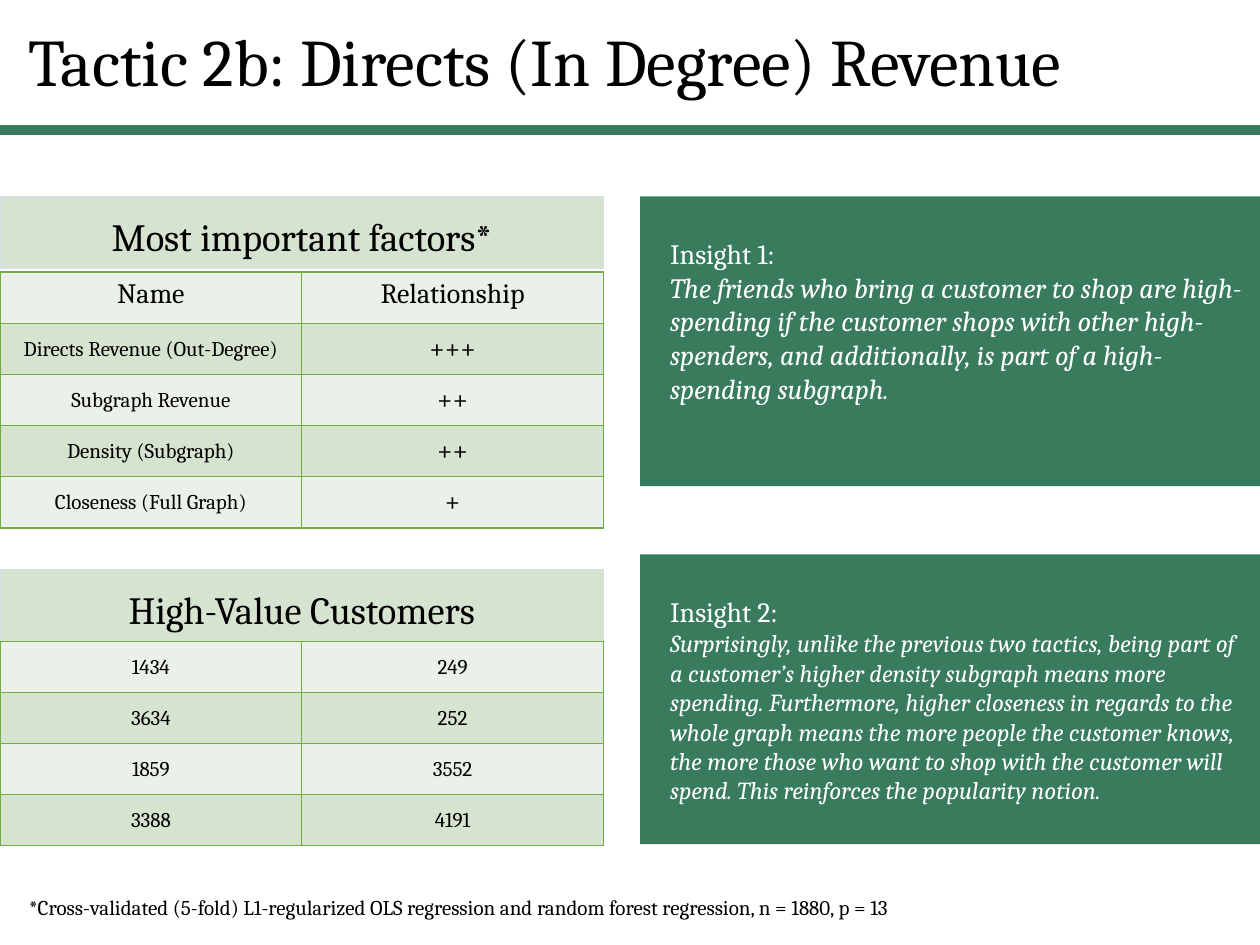
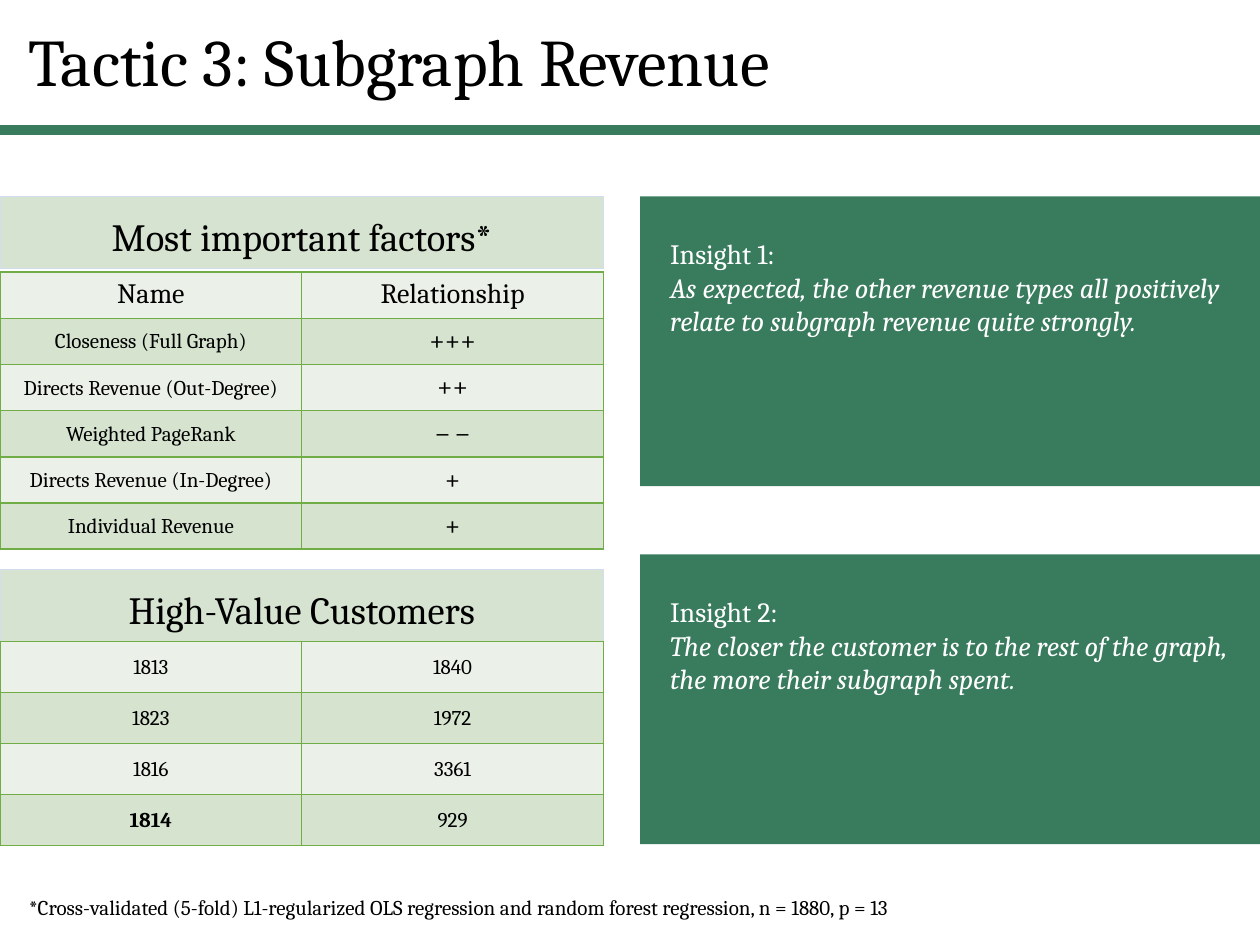
import pptx
import pptx.dml.color
import pptx.enum.shapes
import pptx.enum.text
import pptx.oxml
import pptx.oxml.ns
import pptx.util
from lxml import etree

inch, pt = pptx.util.Inches, pptx.util.Pt
ALIGN = pptx.enum.text.PP_ALIGN
ANCHOR = pptx.enum.text.MSO_ANCHOR

# ---- content ----
FACTORS_TITLE = "Most important factors*"
CUSTOMERS_TITLE = "High-Value Customers"
FACTORS_HEAD = ("Name", "Relationship")
FOOTNOTE = ("*Cross-validated (5-fold) L1-regularized OLS regression and "
            "random forest regression, n = 1880, p = 13")
SLIDES = [
    {
        "title": "Tactic 2b: Directs (In Degree) Revenue",
        "factors": [("Directs Revenue (Out-Degree)", "+++"),
                    ("Subgraph Revenue", "++"),
                    ("Density (Subgraph)", "++"),
                    ("Closeness (Full Graph)", "+")],
        "factors_height": 2.03,
        "customers": [("1434", "249"), ("3634", "252"),
                      ("1859", "3552"), ("3388", "4191")],
        "bold": (),
        "insights": [
            ("The friends who bring a customer to shop are high-spending if "
             "the customer shops with other high-spenders, and additionally, "
             "is part of a high-spending subgraph.", 16),
            ("Surprisingly, unlike the previous two tactics, being part of a "
             "customer\u2019s higher density subgraph means more spending. "
             "Furthermore, higher closeness in regards to the whole graph "
             "means the more people the customer knows, the more those who "
             "want to shop with the customer will spend. This reinforces the "
             "popularity notion.", 14)],
    },
    {
        "title": "Tactic 3: Subgraph Revenue",
        "factors": [("Closeness (Full Graph)", "+++"),
                    ("Directs Revenue (Out-Degree)", "++"),
                    ("Weighted PageRank", "\u2013 \u2013"),
                    ("Directs Revenue (In-Degree)", "+"),
                    ("Individual Revenue", "+")],
        "factors_height": 2.2,
        "customers": [("1813", "1840"), ("1823", "1972"),
                      ("1816", "3361"), ("1814", "929")],
        "bold": ("1814",),
        "insights": [
            ("As expected, the other revenue types all positively relate to "
             "subgraph revenue quite strongly.", 16),
            ("The closer the customer is to the rest of the graph, the more "
             "their subgraph spent.", 16)],
    },
]

# ---- shared look ----
COLORS = {"green": "397B5D", "heading": "D5E3D0", "heading_line": "D2DEEF",
          "light": "EBF1E9", "band": "D5E3CF", "border": "70AD47",
          "black": "000000", "white": "FFFFFF"}
FONT = "Cambria"
W, H = 10, 7.5
RULE_Y = 1.03
LEFT_W, HEADING_H = 4.79, 0.57
FACTORS_Y, CUSTOMERS_Y = 1.56, 4.52
TABLE_GAP = 0.03
CUSTOMERS_H = 1.62
INSIGHT_X, INSIGHT_H = 5.08, 2.3
INSIGHT_YS = (1.56, 4.4)
TEXT_X = 0.13
TIGHT = {"margin_left": inch(0.01), "margin_top": inch(0.01),
         "margin_right": inch(0.01), "margin_bottom": 0}
MIDDLE = {"vertical_anchor": ANCHOR.MIDDLE}
HEADING_PARA = {"alignment": ALIGN.CENTER, "line_spacing": 1.14,
                "space_before": pt(10)}


def rgb(name):
    """Return the named colour."""
    return pptx.dml.color.RGBColor.from_string(COLORS[name])


def apply(obj, values):
    """Set attributes of an object from a dict."""
    for name, value in values.items():
        setattr(obj, name, value)


def place(sp, x, y, w, h):
    """Move and size a shape, in inches."""
    apply(sp, {"left": inch(x), "top": inch(y),
               "width": inch(w), "height": inch(h)})


def paint(sp, fill, line=None):
    """Fill a shape and outline it, or drop its outline."""
    sp.fill.solid()
    sp.fill.fore_color.rgb = rgb(fill)
    if line:
        sp.line.color.rgb = rgb(line)
        sp.line.width = pt(0.75)
    else:
        sp.line.fill.background()


def write(tf, lines, para, color="black"):
    """Write (text, size, font values) lines as paragraphs."""
    for i, (text, size, font) in enumerate(lines):
        p = tf.add_paragraph() if i else tf.paragraphs[0]
        apply(p, para)
        r = p.add_run()
        r.text = text
        apply(r.font, {"name": FONT, "size": pt(size), "bold": False, **font})
        r.font.color.rgb = rgb(color)


def add_rule(s, layout):
    """Draw the green rule under the title and move it to the layout."""
    line = s.shapes.add_connector(pptx.enum.shapes.MSO_CONNECTOR.STRAIGHT,
                                  0, inch(RULE_Y), inch(W), inch(RULE_Y))
    line.line.color.rgb = rgb("green")
    line.line.width = pt(6)
    etree.SubElement(line.element.spPr, pptx.oxml.ns.qn("a:effectLst"))
    layout.shapes.element.append(line.element)


def add_title(s, text):
    """Fill the title placeholder."""
    sp = s.shapes.title
    place(sp, TEXT_X, 0, 9.71, RULE_Y)
    apply(sp.text_frame, {"auto_size": pptx.enum.text.MSO_AUTO_SIZE.NONE,
                          **MIDDLE})
    write(sp.text_frame, [(text, 38, {})],
          {"alignment": ALIGN.LEFT, "line_spacing": 0.9})


def add_heading(sp, text, y):
    """Turn a body placeholder into the heading above a table."""
    place(sp, 0, y, LEFT_W, HEADING_H)
    paint(sp, "heading", "heading_line")
    apply(sp.text_frame, {"auto_size": pptx.enum.text.MSO_AUTO_SIZE.NONE,
                          **MIDDLE})
    write(sp.text_frame, [(text, 22, {})], HEADING_PARA)


def add_borders(cell):
    """Draw the four green borders of a cell, ahead of its fill."""
    tcPr = cell._tc.get_or_add_tcPr()
    for i, side in enumerate(("lnL", "lnR", "lnT", "lnB")):
        tcPr.insert(i, pptx.oxml.parse_xml(
            f'<a:{side} {pptx.oxml.ns.nsdecls("a")} w="12700"><a:solidFill>'
            f'<a:srgbClr val="{COLORS["border"]}"/></a:solidFill></a:{side}>'))


def add_table(s, rows, y, height, style):
    """Add a banded two-column table; style(row, col) gives size and format."""
    n = len(rows)
    table = s.shapes.add_table(n, 2, 0, inch(y), inch(LEFT_W),
                               inch(height)).table
    apply(table, {"first_row": False, "horz_banding": False})
    for i, row in enumerate(rows):
        table.rows[i].height = inch(height / n)
        for j, text in enumerate(row):
            cell = table.cell(i, j)
            size, layout, font = style(i, j)
            apply(cell, layout)
            cell.fill.solid()
            cell.fill.fore_color.rgb = rgb("band" if i % 2 else "light")
            add_borders(cell)
            write(cell.text_frame, [(text, size, font)],
                  {"alignment": ALIGN.CENTER})


def factor_style(i, j):
    """Large header and signs, small tight factor names."""
    if i == 0:
        return 16, {}, {}
    return (16, MIDDLE, {}) if j else (12, {**MIDDLE, **TIGHT}, {})


def add_insight(s, number, text, size, y):
    """Add one green insight panel."""
    sp = s.shapes.add_shape(pptx.enum.shapes.MSO_SHAPE.RECTANGLE,
                            inch(INSIGHT_X), inch(y),
                            inch(W - INSIGHT_X), inch(INSIGHT_H))
    sp.shadow.inherit = False
    paint(sp, "green")
    tf = sp.text_frame
    apply(tf, {"word_wrap": True, "vertical_anchor": ANCHOR.TOP,
               "margin_top": inch(0.32)})
    write(tf, [(f"Insight {number}:", 16, {}), (text, size, {"italic": True})],
          {"alignment": ALIGN.LEFT}, "white")
    for p in tf.paragraphs:
        p._p.get_or_add_pPr().set("marL", str(inch(0.14)))


def add_footnote(s):
    """Add the note on the method."""
    tf = s.shapes.add_textbox(inch(TEXT_X), inch(H * 0.94),
                              inch(8.35), inch(0.3)).text_frame
    tf.word_wrap = True
    write(tf, [(FOOTNOTE, 12, {})], {})


def build_slide(s, data):
    """Lay out one tactic slide."""
    factors, spare_1, customers, spare_2 = list(s.placeholders)[1:]
    for sp in (spare_1, spare_2):
        sp.element.getparent().remove(sp.element)

    def customer_style(i, j):
        """Small tight cells, with marked customers in bold."""
        bold = data["customers"][i][j] in data["bold"]
        return 12, {**MIDDLE, **TIGHT}, {"bold": bold}

    add_title(s, data["title"])
    add_heading(factors, FACTORS_TITLE, FACTORS_Y)
    add_table(s, [FACTORS_HEAD] + data["factors"],
              FACTORS_Y + HEADING_H + TABLE_GAP, data["factors_height"],
              factor_style)
    add_heading(customers, CUSTOMERS_TITLE, CUSTOMERS_Y)
    add_table(s, data["customers"], CUSTOMERS_Y + HEADING_H, CUSTOMERS_H,
              customer_style)
    for i, (text, size) in enumerate(data["insights"]):
        add_insight(s, i + 1, text, size, INSIGHT_YS[i])
    add_footnote(s)


prs = pptx.Presentation()
apply(prs, {"slide_width": inch(W), "slide_height": inch(H)})
comparison = prs.slide_layouts[4]
for k, tactic in enumerate(SLIDES):
    slide = prs.slides.add_slide(comparison)
    if k == 0:
        add_rule(slide, comparison)
    build_slide(slide, tactic)
prs.save("out.pptx")
